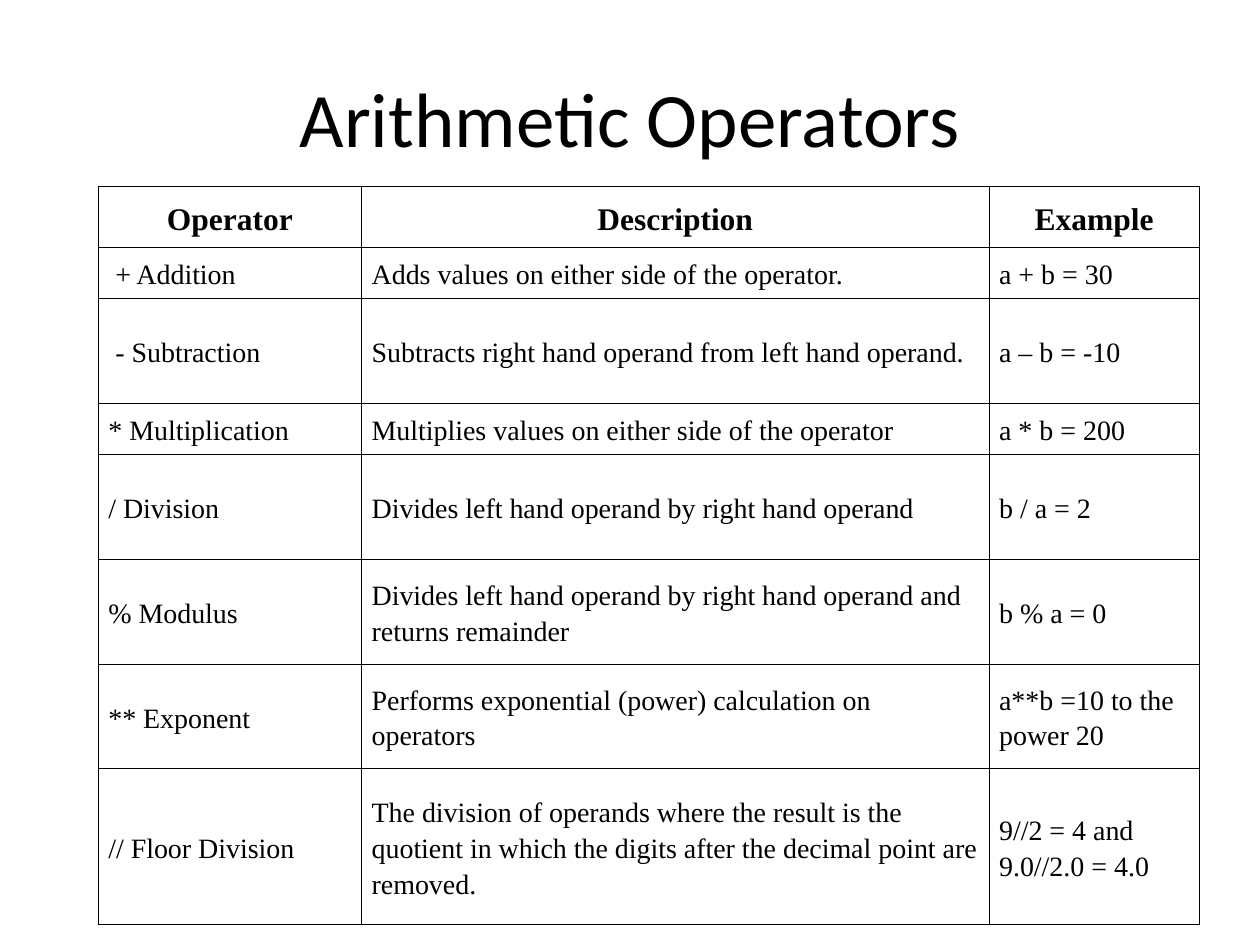
from dataclasses import dataclass

from lxml.etree import SubElement
from pptx import Presentation
from pptx.dml.color import RGBColor
from pptx.enum.text import MSO_VERTICAL_ANCHOR as Anchor, PP_PARAGRAPH_ALIGNMENT as Align
from pptx.oxml.ns import qn
from pptx.util import Inches, Pt


@dataclass(frozen=True)
class Theme:
    ink: RGBColor = RGBColor(0, 0, 0)
    title_font: str = "Calibri"
    table_font: str = "Times New Roman"
    title_size: int = 44
    header_size: int = 18
    body_size: int = 16
    border_width: float = 0.45


THEME = Theme()

HEADER = ("Operator", "Description", "Example")
OPERATORS = [
    (" + Addition", "Adds values on either side of the operator.", "a + b = 30"),
    (" - Subtraction", "Subtracts right hand operand from left hand operand.", "a – b = -10"),
    ("* Multiplication", "Multiplies values on either side of the operator", "a * b = 200"),
    ("/ Division", "Divides left hand operand by right hand operand", "b / a = 2"),
    ("% Modulus", "Divides left hand operand by right hand operand and returns remainder",
     "b % a = 0"),
    ("** Exponent", "Performs exponential (power) calculation on operators",
     "a**b =10 to the power 20"),
    ("// Floor Division",
     "The division of operands where the result is the quotient in which the digits "
     "after the decimal point are removed.",
     "9//2 = 4 and 9.0//2.0 = 4.0"),
]
COLUMN_WIDTHS = (2.09, 4.98, 1.67)
ROW_HEIGHTS = (0.48, 0.41, 0.83, 0.41, 0.83, 0.83, 0.83, 1.24)


def set_format(target, values):
    for name, value in values.items():
        setattr(target, name, value)


def write_text(frame, text, font, size, bold=False, align=Align.LEFT, spacing=1.0):
    para = frame.paragraphs[0]
    set_format(para, {"alignment": align, "line_spacing": spacing})
    span = para.add_run()
    span.text = text
    set_format(span.font, {"name": font, "size": Pt(size), "bold": bold})
    span.font.color.rgb = THEME.ink


def add_title(page, text):
    title = page.shapes.title
    set_format(title, {"left": Inches(0.5), "top": Inches(0.3),
                       "width": Inches(9), "height": Inches(1.25)})
    title.text_frame.vertical_anchor = Anchor.MIDDLE
    write_text(title.text_frame, text, THEME.title_font, THEME.title_size, align=Align.CENTER)


def add_borders(cell):
    properties = cell._tc.get_or_add_tcPr()
    for side in ("lnL", "lnR", "lnT", "lnB"):
        line = SubElement(properties, qn(f"a:{side}"), w=str(Pt(THEME.border_width)))
        fill = SubElement(line, qn("a:solidFill"))
        SubElement(fill, qn("a:srgbClr"), val=str(THEME.ink))


def format_cell(cell, text, is_header):
    set_format(cell, {"vertical_anchor": Anchor.MIDDLE,
                      "margin_left": Inches(0.08), "margin_right": Inches(0.08),
                      "margin_top": Inches(0.05), "margin_bottom": Inches(0.05)})
    # Borders come before the fill in the cell properties
    add_borders(cell)
    cell.fill.background()
    write_text(cell.text_frame, text, THEME.table_font,
               THEME.header_size if is_header else THEME.body_size,
               bold=is_header, align=Align.CENTER if is_header else Align.LEFT, spacing=1.15)


def add_operator_table(page):
    rows = [HEADER, *OPERATORS]
    table = page.shapes.add_table(
        len(rows), len(HEADER), Inches(0.78), Inches(1.48),
        Inches(sum(COLUMN_WIDTHS)), Inches(sum(ROW_HEIGHTS))).table
    set_format(table, {"first_row": False, "horz_banding": False})
    for column, width in zip(table.columns, COLUMN_WIDTHS):
        column.width = Inches(width)
    for index, (row, height, texts) in enumerate(zip(table.rows, ROW_HEIGHTS, rows)):
        row.height = Inches(height)
        for cell, text in zip(row.cells, texts):
            format_cell(cell, text, is_header=index == 0)


def main():
    # Slide with only a title placeholder
    deck = Presentation()
    set_format(deck, {"slide_width": Inches(10), "slide_height": Inches(7.5)})
    page = deck.slides.add_slide(deck.slide_layouts[5])

    # Heading and table
    add_title(page, "Arithmetic Operators")
    add_operator_table(page)
    deck.save("out.pptx")


if __name__ == "__main__":
    main()
